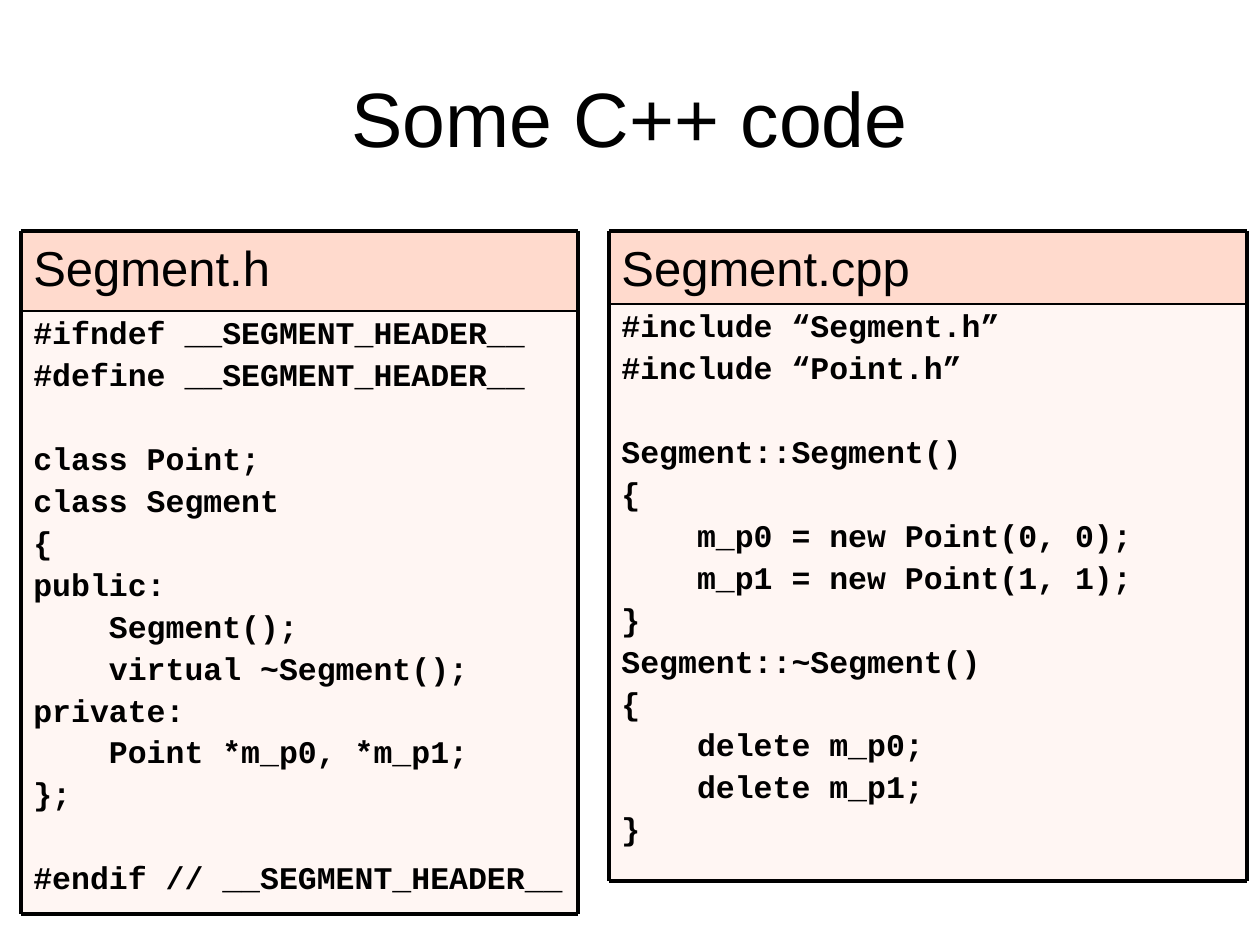
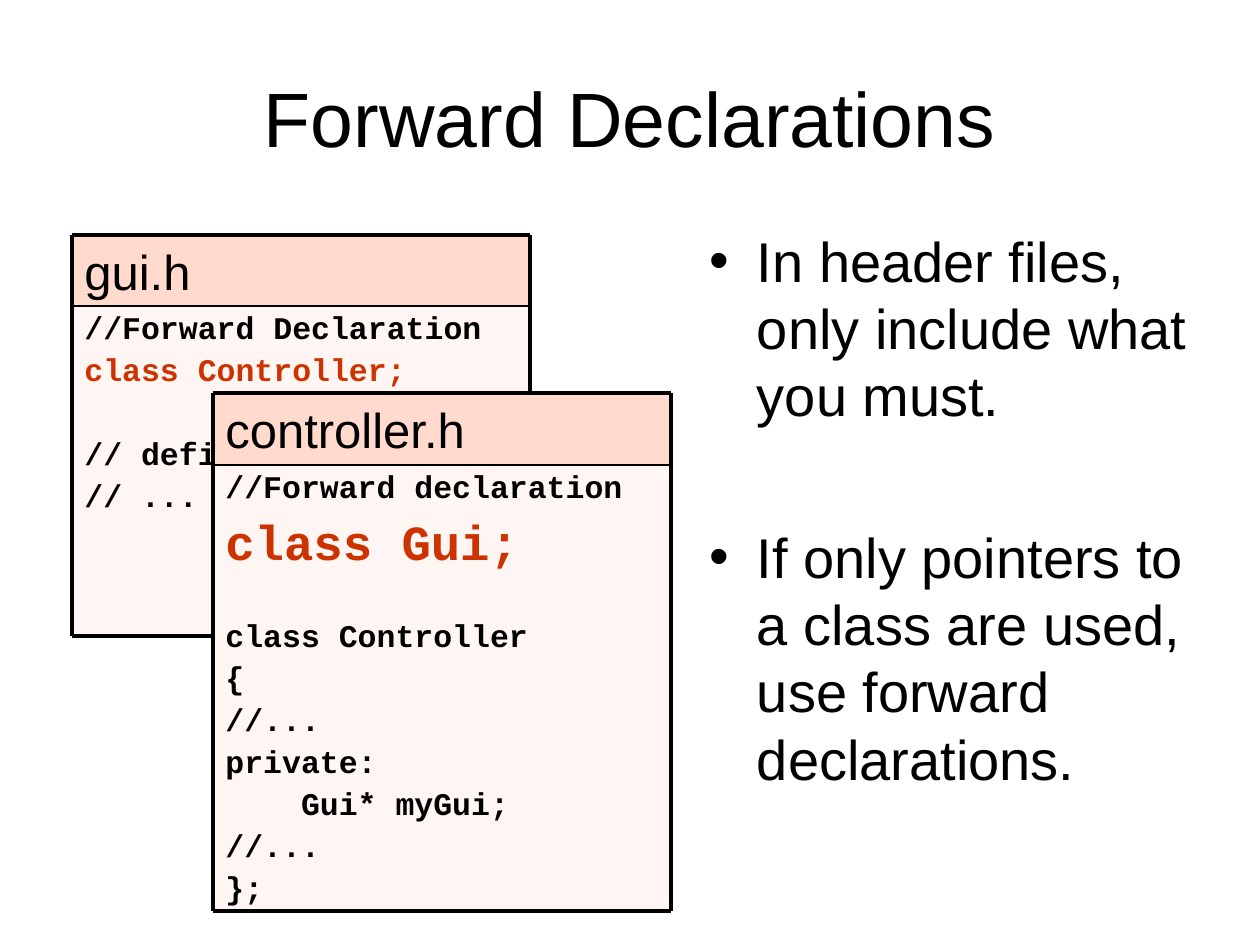
"""Build two slides on C++ header files and forward declarations."""
from lxml import etree
from pptx import Presentation
from pptx.dml.color import RGBColor
from pptx.enum.shapes import MSO_CONNECTOR, MSO_SHAPE
from pptx.enum.text import MSO_ANCHOR, MSO_AUTO_SIZE, PP_ALIGN
from pptx.oxml.ns import qn
from pptx.util import Emu, Pt

RECT, LINE = MSO_SHAPE.RECTANGLE, MSO_CONNECTOR.STRAIGHT
TOP, MIDDLE = MSO_ANCHOR.TOP, MSO_ANCHOR.MIDDLE
LEFT, CENTER = PP_ALIGN.LEFT, PP_ALIGN.CENTER
FIXED = MSO_AUTO_SIZE.NONE

BLACK, RED, PAPER, BAR = "000000", "CC3300", "FFF6F3", "FFDACD"
SANS, MONO = "Arial", "Courier New"
TITLE_BOX = (63, 38, 1134, 157)
LIST_BOX = (697, 220, 525, 624)
CODE_SIZE, NAME_SIZE, LIST_SIZE, TITLE_SIZE = 18, 28, 32, 44
ACCENTS = {"class Controller;": 18, "class Gui;": 28}

SEGMENT_H = """#ifndef __SEGMENT_HEADER__
#define __SEGMENT_HEADER__

class Point;
class Segment
{
public:
    Segment();
    virtual ~Segment();
private:
    Point *m_p0, *m_p1;
};

#endif // __SEGMENT_HEADER__"""

SEGMENT_CPP = """#include “Segment.h”
#include “Point.h”

Segment::Segment()
{
    m_p0 = new Point(0, 0);
    m_p1 = new Point(1, 1);
}
Segment::~Segment()
{
    delete m_p0;
    delete m_p1;
}"""

GUI_H = """//Forward Declaration
class Controller;

// define gui
// ..."""

CONTROLLER_H = """//Forward declaration
class Gui;

class Controller
{
//...
private:
    Gui* myGui;
//...
};"""

SLIDES = [
    {"title": "Some C++ code", "layout": 5, "points": [],
     "files": [("Segment.h", (21, 231, 557, 683), 80, SEGMENT_H),
               ("Segment.cpp", (609, 231, 638, 650), 73, SEGMENT_CPP)]},
    {"title": "Forward Declarations", "layout": 1,
     "points": ["In header files, only include what you must.",
                "If only pointers to a class are used, use forward declarations."],
     "files": [("gui.h", (72, 235, 458, 401), 71, GUI_H),
               ("controller.h", (213, 393, 458, 518), 72, CONTROLLER_H)]},
]


def px(n):
    return Emu(n * 914400 // 126)


def color(code):
    return RGBColor.from_string(code)


def style(para, size, font=SANS, ink=BLACK, bold=False):
    for run in para.runs:
        run.font.size, run.font.name, run.font.bold = Pt(size), font, bold
        run.font.color.rgb = color(ink)


def place(holder, box):
    holder.left, holder.top, holder.width, holder.height = map(px, box)
    holder.text_frame.auto_size = FIXED
    return holder.text_frame


def add_rect(shapes, box, fill):
    rect = shapes.add_shape(RECT, *map(px, box))
    rect.shadow.inherit = False
    rect.fill.solid()
    rect.fill.fore_color.rgb = color(fill)
    rect.line.fill.background()
    frame = rect.text_frame
    frame.word_wrap, frame.vertical_anchor = False, TOP
    return frame


def add_line(shapes, ends, width):
    line = shapes.add_connector(LINE, *map(px, ends))
    line.line.color.rgb = color(BLACK)
    line.line.width = Pt(width)
    etree.SubElement(line._element.spPr, qn("a:effectLst"))


def add_code(frame, code):
    """Write code lines; a blank line becomes space before the next one."""
    gap = 0
    para = frame.paragraphs[0]
    for i, text in enumerate(code.split("\n")):
        if not text:
            gap = CODE_SIZE * 1.33
            continue
        if i:
            para = frame.add_paragraph()
        size = ACCENTS.get(text, CODE_SIZE)
        para.text, para.alignment = text, LEFT
        para.line_spacing = Pt(size * 1.08)
        para.space_before = Pt(size / 4 + gap if i else 0)
        style(para, size, MONO, RED if text in ACCENTS else BLACK, True)
        gap = 0


def add_file(slide, name, box, bar, code):
    """Draw one file card: a name bar, a code area and the ruled frame."""
    x, y, w, h = box
    right, low, split = x + w, y + h, y + bar
    shapes = slide.shapes.add_group_shape().shapes
    add_code(add_rect(shapes, (x, split, w, h - bar), PAPER), code)
    head = add_rect(shapes, (x, y, w, bar), BAR).paragraphs[0]
    head.text, head.alignment = name, LEFT
    style(head, NAME_SIZE)
    for row, width in ((y, 2), (split, 1), (low, 2)):
        add_line(shapes, (x, row, right, row), width)
    for col in (x, right):
        add_line(shapes, (col, y, col, low), 2)


def add_list(holder, points):
    frame = place(holder, LIST_BOX)
    frame.text = "\n".join(points)
    for i, para in enumerate(frame.paragraphs):
        para.line_spacing = Pt(LIST_SIZE * 1.2)
        para.space_before = Pt(54 if i else 0)
        style(para, LIST_SIZE)


def main():
    deck = Presentation()
    deck.slide_width, deck.slide_height = px(1260), px(945)
    for item in SLIDES:
        slide = deck.slides.add_slide(deck.slide_layouts[item["layout"]])
        frame = place(slide.shapes.title, TITLE_BOX)
        frame.text, frame.vertical_anchor = item["title"], MIDDLE
        frame.paragraphs[0].alignment = CENTER
        style(frame.paragraphs[0], TITLE_SIZE)
        if item["points"]:
            add_list(slide.placeholders[1], item["points"])
        for file in item["files"]:
            add_file(slide, *file)
    deck.save("out.pptx")


if __name__ == "__main__":
    main()
